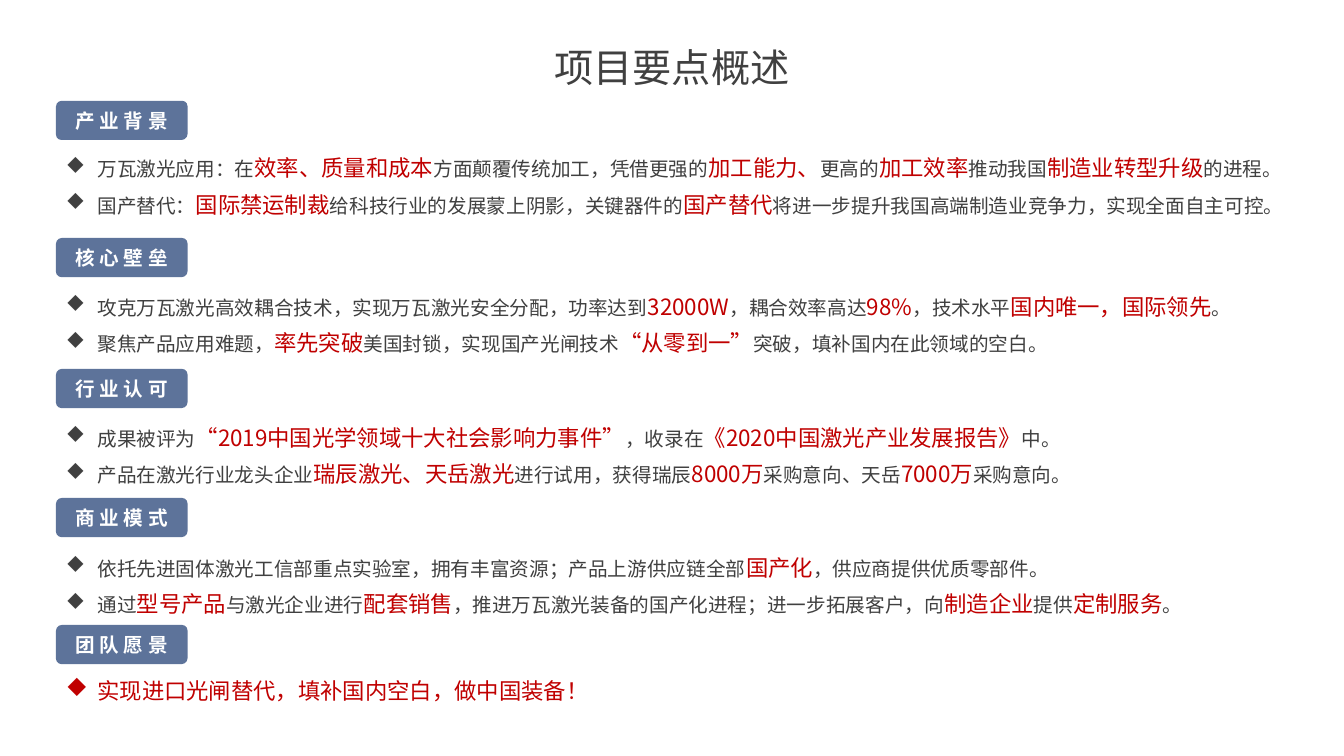
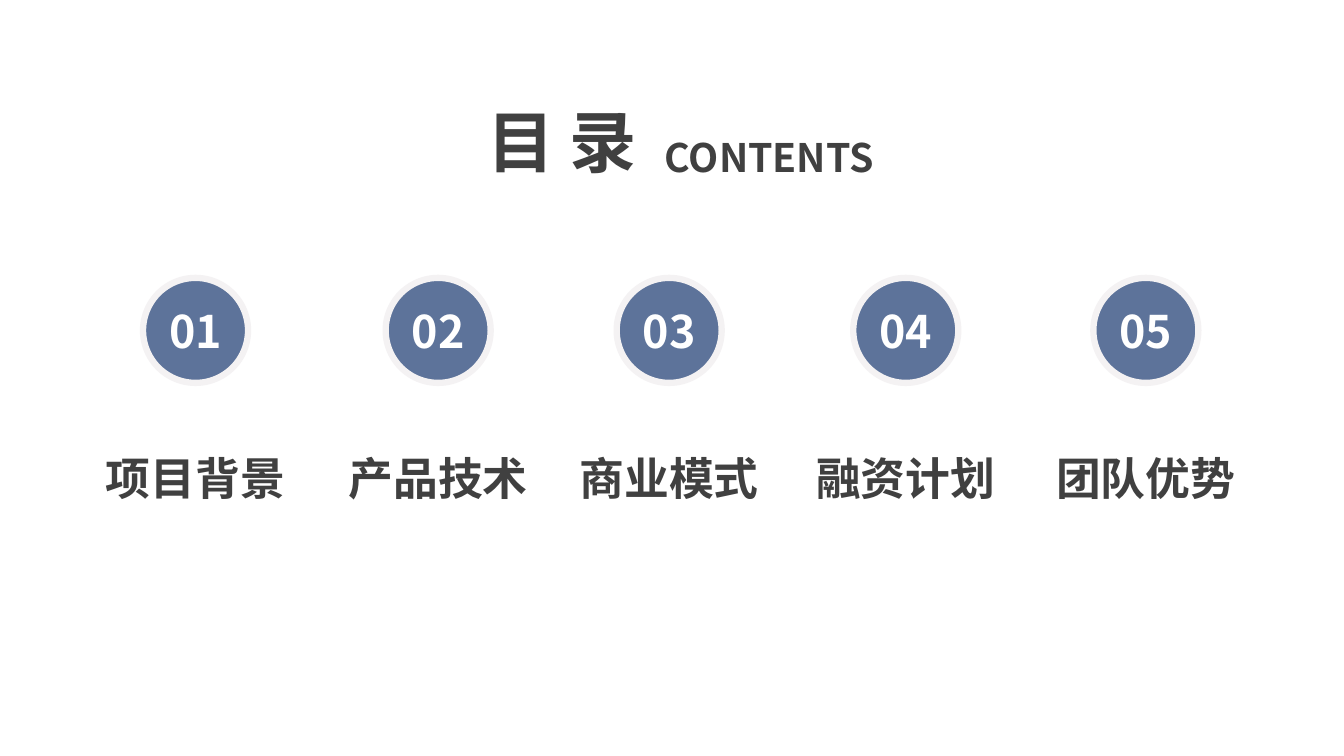
from dataclasses import dataclass

from lxml import etree
from pptx import Presentation
from pptx.dml.color import RGBColor
from pptx.enum import lang, shapes, text
from pptx.oxml import ns
from pptx.util import Pt

COLORS = {
    "ink": "404040",
    "accent": "C00000",
    "blue": "5D739A",
    "ring": "F4F2F3",
    "white": "FFFFFF",
}
SANS = "Noto Sans CJK SC"
TITLE_FONT = "Noto Sans CJK JP"
LEFT = 40
BODY_WIDTH = 904
INDENT = 22.5
LINE_SPACING = 26


@dataclass(frozen=True)
class Box:
    left: float
    top: float
    width: float
    height: float

    def lengths(self) -> tuple:
        return Pt(self.left), Pt(self.top), Pt(self.width), Pt(self.height)


@dataclass(frozen=True)
class Style:
    size: float
    color: str = "ink"
    bold: bool = False
    font: str = SANS


@dataclass(frozen=True)
class Section:
    heading: str
    badge_top: float
    body_top: float
    points: tuple[str, ...]


@dataclass(frozen=True)
class Chapter:
    number: str
    name: str
    center: float


PLAIN = Style(14)
HIGHLIGHT = Style(16, "accent")
BADGE = Style(14, "white", True)
NUMBER = Style(32, "white", True)
CHAPTER_NAME = Style(32, bold=True)

SECTIONS = (
    Section("产 业 背 景", 72, 100, (
        "万瓦激光应用：在|效率、质量和成本|方面颠覆传统加工，凭借更强的|加工能力、|更高的|加工效率|推动我国|制造业转型升级|的进程。",
        "国产替代：|国际禁运制裁|给科技行业的发展蒙上阴影，关键器件的|国产替代|将进一步提升我国高端制造业竞争力，实现全面自主可控。",
    )),
    Section("核 心 壁 垒", 170, 198.7, (
        "攻克万瓦激光高效耦合技术，实现万瓦激光安全分配，功率达到|32000W|，耦合效率高达|98%|，技术水平|国内唯一，国际领先|。",
        "聚焦产品应用难题，|率先突破|美国封锁，实现国产光闸技术|“从零到一”|突破，填补国内在此领域的空白。",
    )),
    Section("行 业 认 可", 263.5, 292.3, (
        "成果被评为|“2019中国光学领域十大社会影响力事件”|，收录在|《2020中国激光产业发展报告》|中。",
        "产品在激光行业龙头企业|瑞辰激光、天岳激光|进行试用，获得瑞辰|8000万|采购意向、天岳|7000万|采购意向。",
    )),
    Section("商 业 模 式", 355.7, 385.2, (
        "依托先进固体激光工信部重点实验室，拥有丰富资源；产品上游供应链全部|国产化|，供应商提供优质零部件。",
        "通过|型号产品|与激光企业进行|配套销售|，推进万瓦激光装备的国产化进程；进一步拓展客户，向|制造企业|提供|定制服务|。",
    )),
    Section("团 队 愿 景", 446.4, 480.2, (
        "|实现进口光闸替代，填补国内空白，做中国装备！",
    )),
)

CHAPTERS = (
    Chapter("01", "项目背景", 139.7),
    Chapter("02", "产品技术", 313),
    Chapter("03", "商业模式", 478),
    Chapter("04", "融资计划", 647),
    Chapter("05", "团队优势", 818.5),
)


def rgb(name: str) -> RGBColor:
    return RGBColor.from_string(COLORS[name])


def add_run(paragraph, content: str, style: Style) -> None:
    run = paragraph.add_run()
    run.text = content
    formats = {
        "name": style.font,
        "size": Pt(style.size),
        "bold": style.bold,
        "language_id": lang.MSO_LANGUAGE_ID.SIMPLIFIED_CHINESE,
    }
    for key, value in formats.items():
        setattr(run.font, key, value)
    run.font.color.rgb = rgb(style.color)
    east_asian = etree.Element(ns.qn("a:ea"), typeface=style.font)
    run.font._element.find(ns.qn("a:latin")).addnext(east_asian)


def set_frame(frame, anchor=text.MSO_ANCHOR.TOP, side: float = 7.2, edge: float = 3.6) -> None:
    formats = {
        "word_wrap": True,
        "auto_size": text.MSO_AUTO_SIZE.NONE,
        "vertical_anchor": anchor,
        "margin_left": Pt(side),
        "margin_right": Pt(side),
        "margin_top": Pt(edge),
        "margin_bottom": Pt(edge),
    }
    for key, value in formats.items():
        setattr(frame, key, value)


def write_centered(frame, content: str, style: Style) -> None:
    paragraph = frame.paragraphs[0]
    paragraph.alignment = text.PP_ALIGN.CENTER
    add_run(paragraph, content, style)


def add_label(slide, box: Box, content: str, style: Style) -> None:
    frame = slide.shapes.add_textbox(*box.lengths()).text_frame
    set_frame(frame)
    write_centered(frame, content, style)


def add_filled(slide, kind, box: Box, content: str, style: Style):
    shape = slide.shapes.add_shape(kind, *box.lengths())
    shape.shadow.inherit = False
    shape.fill.solid()
    shape.fill.fore_color.rgb = rgb("blue")
    shape.line.fill.background()
    set_frame(shape.text_frame, text.MSO_ANCHOR.MIDDLE, 0, 0)
    write_centered(shape.text_frame, content, style)
    return shape


def add_titled_slide(deck, box: Box, title: str, style: Style, side: float, edge: float):
    slide = deck.slides.add_slide(deck.slide_layouts[5])
    heading = slide.shapes.title
    for key, value in zip(("left", "top", "width", "height"), box.lengths()):
        setattr(heading, key, value)
    set_frame(heading.text_frame, side=side, edge=edge)
    write_centered(heading.text_frame, title, style)
    return slide


def add_diamond_bullet(paragraph) -> None:
    properties = paragraph._p.get_or_add_pPr()
    properties.set("marL", str(Pt(INDENT)))
    properties.set("indent", str(-Pt(INDENT)))
    etree.SubElement(properties, ns.qn("a:buFont"), typeface="Wingdings", charset="2")
    etree.SubElement(properties, ns.qn("a:buChar"), char="u")


def add_section(slide, section: Section) -> None:
    badge = add_filled(slide, shapes.MSO_SHAPE.ROUND_2_DIAG_RECTANGLE,
                       Box(LEFT, section.badge_top, 94, 28), section.heading, BADGE)
    badge.adjustments[0] = 0.15
    badge.adjustments[1] = 0.14
    height = 57 if len(section.points) > 1 else 27
    body = Box(LEFT, section.body_top, BODY_WIDTH, height)
    frame = slide.shapes.add_textbox(*body.lengths()).text_frame
    set_frame(frame)
    for index, point in enumerate(section.points):
        paragraph = frame.add_paragraph() if index else frame.paragraphs[0]
        add_diamond_bullet(paragraph)
        if len(section.points) > 1:
            paragraph.line_spacing = Pt(LINE_SPACING)
        for position, part in enumerate(point.split("|")):
            if part:
                add_run(paragraph, part, HIGHLIGHT if position % 2 else PLAIN)


def add_chapter(slide, chapter: Chapter) -> None:
    diameter, name_width = 75, 150
    disc = add_filled(slide, shapes.MSO_SHAPE.OVAL,
                      Box(chapter.center - diameter / 2, 198.5, diameter, diameter),
                      chapter.number, NUMBER)
    disc.line.color.rgb = rgb("ring")
    disc.line.width = Pt(4.5)
    add_label(slide, Box(chapter.center - name_width / 2, 318.7, name_width, 46),
              chapter.name, CHAPTER_NAME)


def build_overview(deck) -> None:
    slide = add_titled_slide(deck, Box(374, 26, 212, 44), "项目要点概述",
                             Style(28, font=TITLE_FONT), 9.4, 5)
    for section in SECTIONS:
        add_section(slide, section)


def build_contents(deck) -> None:
    slide = add_titled_slide(deck, Box(320, 68.4, 163, 65.5), "目 录",
                             Style(48, bold=True), 7.2, 3.6)
    add_label(slide, Box(459, 92, 181, 41), "CONTENTS", Style(28, bold=True))
    for chapter in CHAPTERS:
        add_chapter(slide, chapter)


def main() -> None:
    deck = Presentation()
    deck.slide_width, deck.slide_height = Pt(960), Pt(540)
    build_overview(deck)
    build_contents(deck)
    deck.save("out.pptx")


if __name__ == "__main__":
    main()
